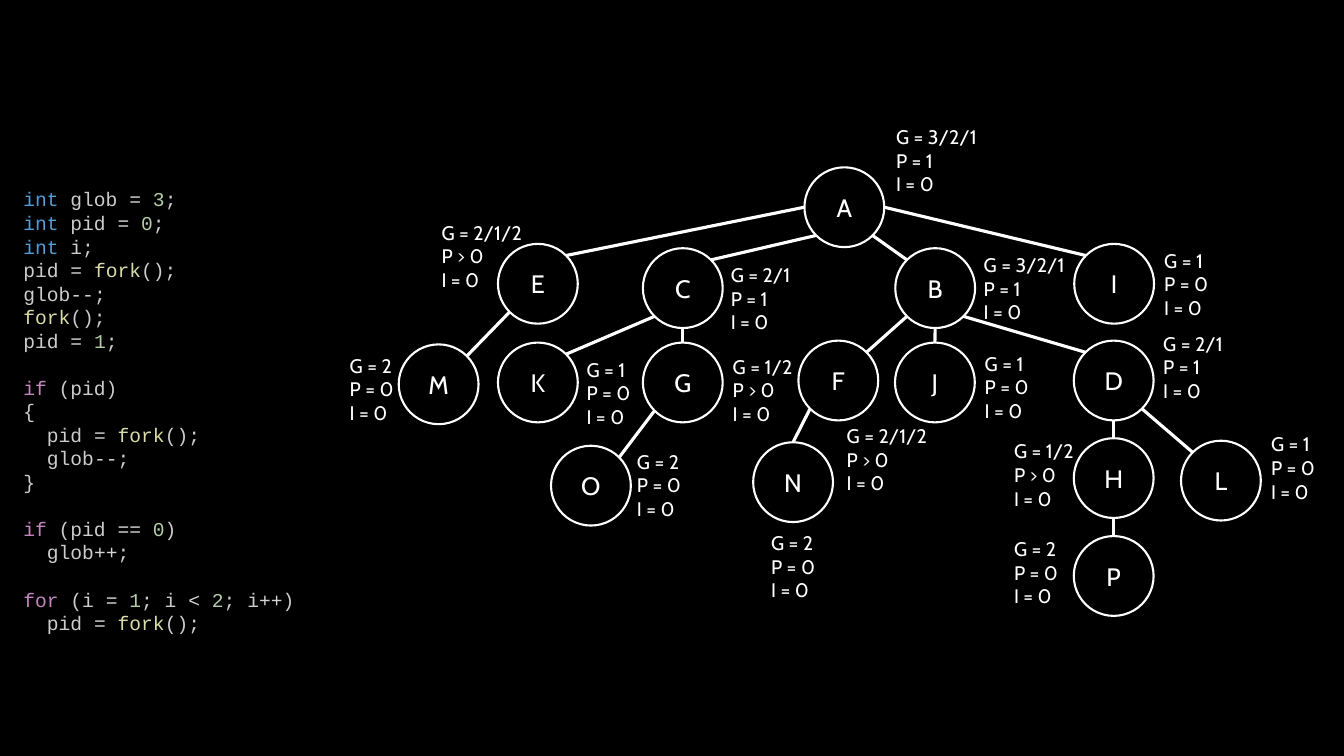
import itertools
import math

import pptx
import pptx.dml.color
import pptx.enum.shapes
import pptx.enum.text
import pptx.oxml.ns
import pptx.util
from lxml import etree

Pt = pptx.util.Pt
RGBColor = pptx.dml.color.RGBColor

BLACK = RGBColor(0x00, 0x00, 0x00)
WHITE = RGBColor(0xFF, 0xFF, 0xFF)
PLAIN = RGBColor(0xCC, 0xCC, 0xCC)
OPERATOR = RGBColor(0xD4, 0xD4, 0xD4)
NUMBER = RGBColor(0xB5, 0xCE, 0xA8)
TYPE = RGBColor(0x56, 0x9C, 0xD6)
CONTROL = RGBColor(0xC5, 0x86, 0xC0)
CALL = RGBColor(0xDC, 0xDC, 0xAA)
WORDS = {"int": TYPE, "if": CONTROL, "for": CONTROL, "fork": CALL}

TREE_FONT, CODE_FONT = "Cabin", "Courier New"
DIAMETER = 57
INSET = 3.6

CODE = """int glob = 3;
int pid = 0;
int i;
pid = fork();
glob--;
fork();
pid = 1;

if (pid)
{
  pid = fork();
  glob--;
}

if (pid == 0)
  glob++;

for (i = 1; i < 2; i++)
  pid = fork();"""

# Process: circle left and top, state left and top, values of G, P and I
NODES = {
    "A": (574.6, 119.5, 636.5, 85.7, "= 3/2/1", "= 1"),
    "B": (639.5, 177.3, 699.1, 177.1, "= 3/2/1", "= 1"),
    "C": (459.2, 177.3, 518.4, 184.3, "= 2/1", "= 1"),
    "D": (767, 243.3, 827.3, 233.3, "= 2/1", "= 1"),
    "E": (355.7, 174.2, 311.8, 154.1, "= 2/1/2", "> 0"),
    "F": (570.3, 243.3, 601.2, 299.5, "= 2/1/2", "> 0"),
    "G": (459.2, 244.7, 519.8, 249.8, "= 1/2", "> 0"),
    "H": (767, 313, 720.7, 310.3, "= 1/2", "> 0"),
    "I": (767.3, 174.2, 828, 174.2, "= 1", "= 0"),
    "J": (639.3, 244.7, 699.8, 247.7, "= 1", "= 0"),
    "K": (355.7, 244.7, 415.4, 252, "= 1", "= 0"),
    "L": (843.6, 314.8, 904.3, 305.3, "= 1", "= 0"),
    "M": (284.8, 246, 246.2, 249.1, "= 2", "= 0"),
    "N": (538, 315.9, 547.2, 375.8, "= 2", "= 0"),
    "O": (393.6, 318.4, 451.4, 317.5, "= 2", "= 0"),
    "P": (767, 382.9, 720.7, 380.2, "= 2", "= 0"),
}

# Parent, its side, child, its side
EDGES = [
    ("A", "SE", "B", "NW"), ("A", "SW", "C", "NE"),
    ("A", "W", "E", "NE"), ("A", "E", "I", "NW"),
    ("B", "SE", "D", "NW"), ("B", "SW", "F", "NE"),
    ("B", "S", "J", "N"), ("C", "S", "G", "N"),
    ("C", "SW", "K", "NE"), ("D", "S", "H", "N"),
    ("D", "SE", "L", "NW"), ("E", "SW", "M", "NE"),
    ("F", "SW", "N", "N"), ("G", "SW", "O", "NE"),
    ("H", "S", "P", "N"),
]
COMPASS = ["E", "SE", "S", "SW", "W", "NW", "N", "NE"]


def style(font, name, size, color):
    font.name, font.size = name, Pt(size)
    font.color.rgb = color


def set_insets(tf, inset):
    tf.margin_left = tf.margin_right = Pt(inset)
    tf.margin_top = tf.margin_bottom = Pt(inset)


def rim_point(node, side):
    """Point on a node's circle in a compass direction."""
    left, top = NODES[node][:2]
    angle = COMPASS.index(side) * math.pi / 4
    radius = DIAMETER / 2
    return (Pt(left + radius + radius * math.cos(angle)),
            Pt(top + radius + radius * math.sin(angle)))


def add_edge(s, parent, side, child, child_side):
    line = s.shapes.add_connector(
        pptx.enum.shapes.MSO_CONNECTOR.STRAIGHT,
        *rim_point(parent, side), *rim_point(child, child_side))
    line.line.color.rgb = WHITE
    line.line.width = Pt(2.25)
    etree.SubElement(line._element.spPr, pptx.oxml.ns.qn("a:effectLst"))


def add_node(s, name, left, top):
    sp = s.shapes.add_shape(pptx.enum.shapes.MSO_SHAPE.OVAL,
                            Pt(left), Pt(top), Pt(DIAMETER), Pt(DIAMETER))
    sp.shadow.inherit = False
    sp.fill.background()
    sp.line.color.rgb = WHITE
    sp.line.width = Pt(1.5)
    tf = sp.text_frame
    set_insets(tf, 0)
    tf.vertical_anchor = pptx.enum.text.MSO_ANCHOR.MIDDLE
    tf.text = name
    p = tf.paragraphs[0]
    p.alignment = pptx.enum.text.PP_ALIGN.CENTER
    style(p.runs[0].font, TREE_FONT, 18, WHITE)


def add_state(s, left, top, glob, pid):
    width = 42.5 + 12 * glob.count("/")
    tf = s.shapes.add_textbox(Pt(left), Pt(top), Pt(width), Pt(58.3)).text_frame
    set_insets(tf, INSET)
    tf.word_wrap = False
    tf.auto_size = pptx.enum.text.MSO_AUTO_SIZE.SHAPE_TO_FIT_TEXT
    tf.text = f"G {glob}\nP {pid}\nI = 0"
    for p in tf.paragraphs:
        style(p.runs[0].font, TREE_FONT, 14, WHITE)


def char_kind(char):
    return "word" if char.isalnum() else "operator" if char in "=-+<" else "other"


def token_color(token):
    if token.isdigit():
        return NUMBER
    if char_kind(token[0]) == "operator":
        return OPERATOR
    return WORDS.get(token, PLAIN)


def add_code(s, left, top, width, height):
    tf = s.shapes.add_textbox(Pt(left), Pt(top), Pt(width), Pt(height)).text_frame
    set_insets(tf, INSET)
    tf.word_wrap = True
    tf.text = CODE
    for p in tf.paragraphs:
        tokens = ["".join(g) for _, g in itertools.groupby(p.text, char_kind)]
        p.clear()
        p.line_spacing = Pt(16.8)
        for color, group in itertools.groupby(tokens, token_color):
            r = p.add_run()
            r.text = "".join(group)
            style(r.font, CODE_FONT, 14, color)
        if not tokens:
            etree.SubElement(p._p, pptx.oxml.ns.qn("a:endParaRPr"), sz="1400")


def main():
    prs = pptx.Presentation()
    prs.slide_width, prs.slide_height = Pt(960), Pt(540)
    s = prs.slides.add_slide(prs.slide_layouts[6])
    s.background.fill.solid()
    s.background.fill.fore_color.rgb = BLACK

    # Program
    add_code(s, 13, 130.3, 226, 330.5)

    # Process tree
    for edge in EDGES:
        add_edge(s, *edge)
    for name, (left, top, *state) in NODES.items():
        add_node(s, name, left, top)
        add_state(s, *state)

    prs.save("out.pptx")


if __name__ == "__main__":
    main()
